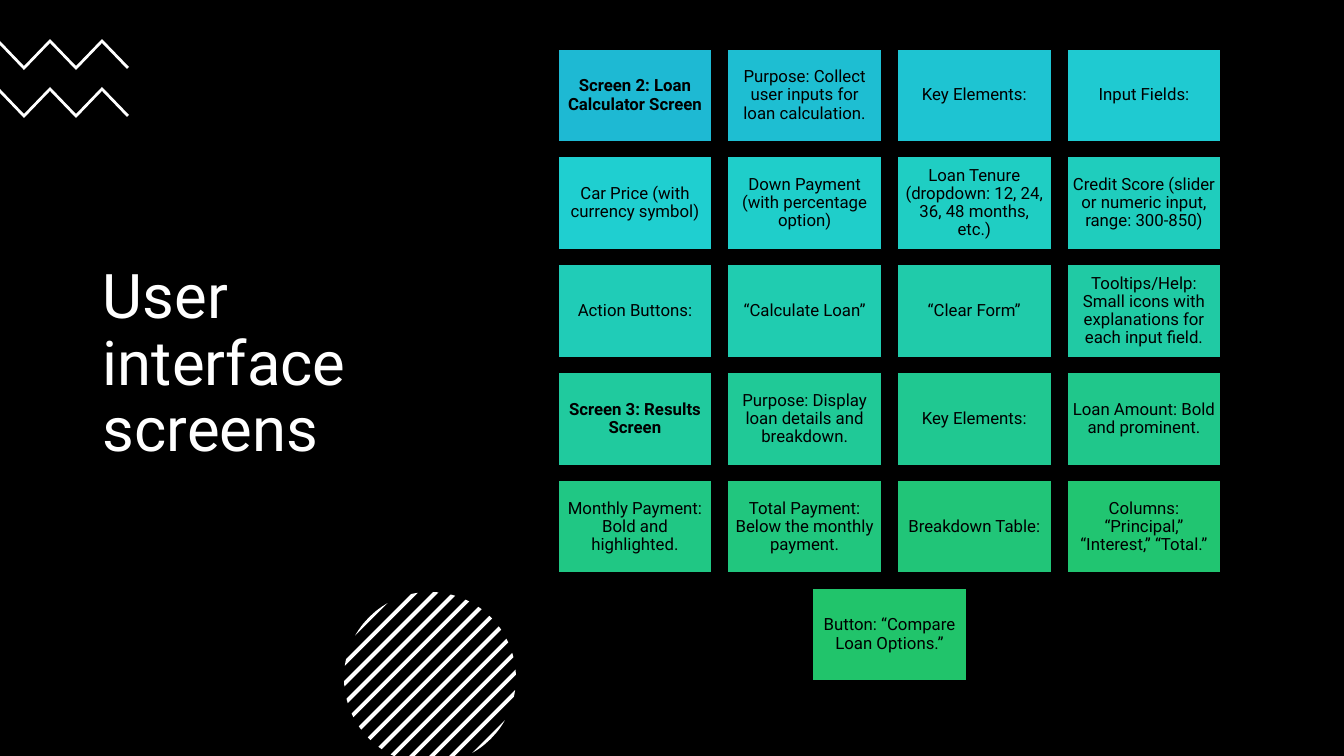
import math

import pptx
import pptx.dml.color
import pptx.enum.shapes
import pptx.enum.text
import pptx.util

PX = 12192000 / 1344
FONT = "Roboto"
BLACK = "000000"
WHITE = "FFFFFF"
COLUMNS, ROWS = 4, 6
CARD_W, CARD_H = 154, 93
GRADIENT = [(0, "1EB9D3"), (4, "1FCFD0"), (20, "21C46B")]
HEADINGS = ("Screen 2", "Screen 3")
CARDS = [
    "Screen 2: Loan Calculator Screen",
    "Purpose: Collect user inputs for loan calculation.",
    "Key Elements:",
    "Input Fields:",
    "Car Price (with currency symbol)",
    "Down Payment (with percentage option)",
    "Loan Tenure (dropdown: 12, 24, 36, 48 months, etc.)",
    "Credit Score (slider or numeric input, range: 300-850)",
    "Action Buttons:",
    "“Calculate Loan”",
    "“Clear Form”",
    "Tooltips/Help: Small icons with explanations for each input field.",
    "Screen 3: Results Screen",
    "Purpose: Display loan details and breakdown.",
    "Key Elements:",
    "Loan Amount: Bold and prominent.",
    "Monthly Payment: Bold and highlighted.",
    "Total Payment: Below the monthly payment.",
    "Breakdown Table:",
    "Columns: “Principal,” “Interest,” “Total.”",
    "Button: “Compare Loan Options.”",
]


def px(length):
    return pptx.util.Emu(round(length * PX))


def rgb(color):
    return pptx.dml.color.RGBColor.from_string(color)


def write(shape, text, size, color, bold=False):
    tf = shape.text_frame
    tf.word_wrap = True
    tf.vertical_anchor = pptx.enum.text.MSO_ANCHOR.MIDDLE
    tf.text = text
    p = tf.paragraphs[0]
    p.line_spacing = 0.9
    font = p.runs[0].font
    font.name, font.size, font.bold = FONT, pptx.util.Pt(size), bold
    font.color.rgb = rgb(color)
    return tf


def add_outline(s, points):
    points = [(px(x), px(y)) for x, y in points]
    builder = s.shapes.build_freeform(*points[0])
    builder.add_line_segments(points[1:], close=True)
    sp = builder.convert_to_shape()
    sp.shadow.inherit = False
    sp.fill.solid()
    sp.fill.fore_color.rgb = rgb(WHITE)
    sp.line.fill.background()


def add_striped_disc(s, left, top, size, floor):
    radius = size / 2
    center_sum = left + top + size
    pitch, half_width, steps = 20, 2.8, 8
    limit = radius * math.sqrt(2)
    for stripe in range(-6, 7):
        start = max(stripe * pitch - half_width, -limit)
        end = min(stripe * pitch + half_width, limit)
        upper, lower = [], []
        for step in range(steps + 1):
            offset = start + (end - start) * step / steps
            reach = math.sqrt(max(radius ** 2 - offset ** 2 / 2, 0)) / math.sqrt(2)
            middle_y = top + radius + offset / 2
            for side, y in ((upper, middle_y - reach), (lower, middle_y + reach)):
                y = min(y, floor)
                side.append((center_sum + offset - y, y))
        add_outline(s, upper + lower[::-1])


def add_zigzags(s, left, top):
    ridge = [(0, 2), (24, 27), (50, 0), (76, 27), (102, 0), (129, 28)]
    thickness, gap = 4, 48
    underside = [(x, y + thickness) for x, y in ridge[-2::-1]]
    for row in range(2):
        add_outline(s, [(left + x, top + row * gap + y)
                        for x, y in ridge + [(127, 30)] + underside])


def add_title(s, left, top, width, height):
    sp = s.shapes.add_textbox(px(left), px(top), px(width), px(height))
    write(sp, "User interface screens", 44, WHITE)


def card_color(index):
    for (first, start), (last, end) in zip(GRADIENT, GRADIENT[1:]):
        if index <= last:
            ratio = (index - first) / (last - first)
            pairs = zip(bytes.fromhex(start), bytes.fromhex(end))
            return "".join(f"{round(a + (b - a) * ratio):02X}" for a, b in pairs)


def add_card(s, left, top, text, color):
    sp = s.shapes.add_shape(pptx.enum.shapes.MSO_SHAPE.RECTANGLE,
                            px(left), px(top), px(CARD_W), px(CARD_H))
    sp.shadow.inherit = False
    sp.fill.solid()
    sp.fill.fore_color.rgb = rgb(color)
    sp.line.color.rgb = rgb(BLACK)
    sp.line.width = pptx.util.Pt(1)
    tf = write(sp, text, 12, BLACK, text.startswith(HEADINGS))
    tf.margin_left = tf.margin_right = tf.margin_top = tf.margin_bottom = px(5)
    p = tf.paragraphs[0]
    p.alignment = pptx.enum.text.PP_ALIGN.CENTER
    p.space_after = pptx.util.Pt(4.2)


def add_cards(s, left, top, width, height):
    pitch_x = (width - CARD_W) / (COLUMNS - 1)
    pitch_y = (height - CARD_H) / (ROWS - 1)
    for index, text in enumerate(CARDS):
        row, column = divmod(index, COLUMNS)
        in_row = min(COLUMNS, len(CARDS) - row * COLUMNS)
        column += (COLUMNS - in_row) / 2
        add_card(s, left + column * pitch_x, top + row * pitch_y,
                 text, card_color(index))


def main():
    prs = pptx.Presentation()
    prs.slide_width, prs.slide_height = px(1344), px(756)
    s = prs.slides.add_slide(prs.slide_layouts[6])
    s.background.fill.solid()
    s.background.fill.fore_color.rgb = rgb(BLACK)
    add_striped_disc(s, 344, 592, 172, 756)
    add_title(s, 93, 132, 353, 467)
    add_zigzags(s, 0, 39)
    add_cards(s, 558, 49, 663, 632)
    prs.save("out.pptx")


if __name__ == "__main__":
    main()
